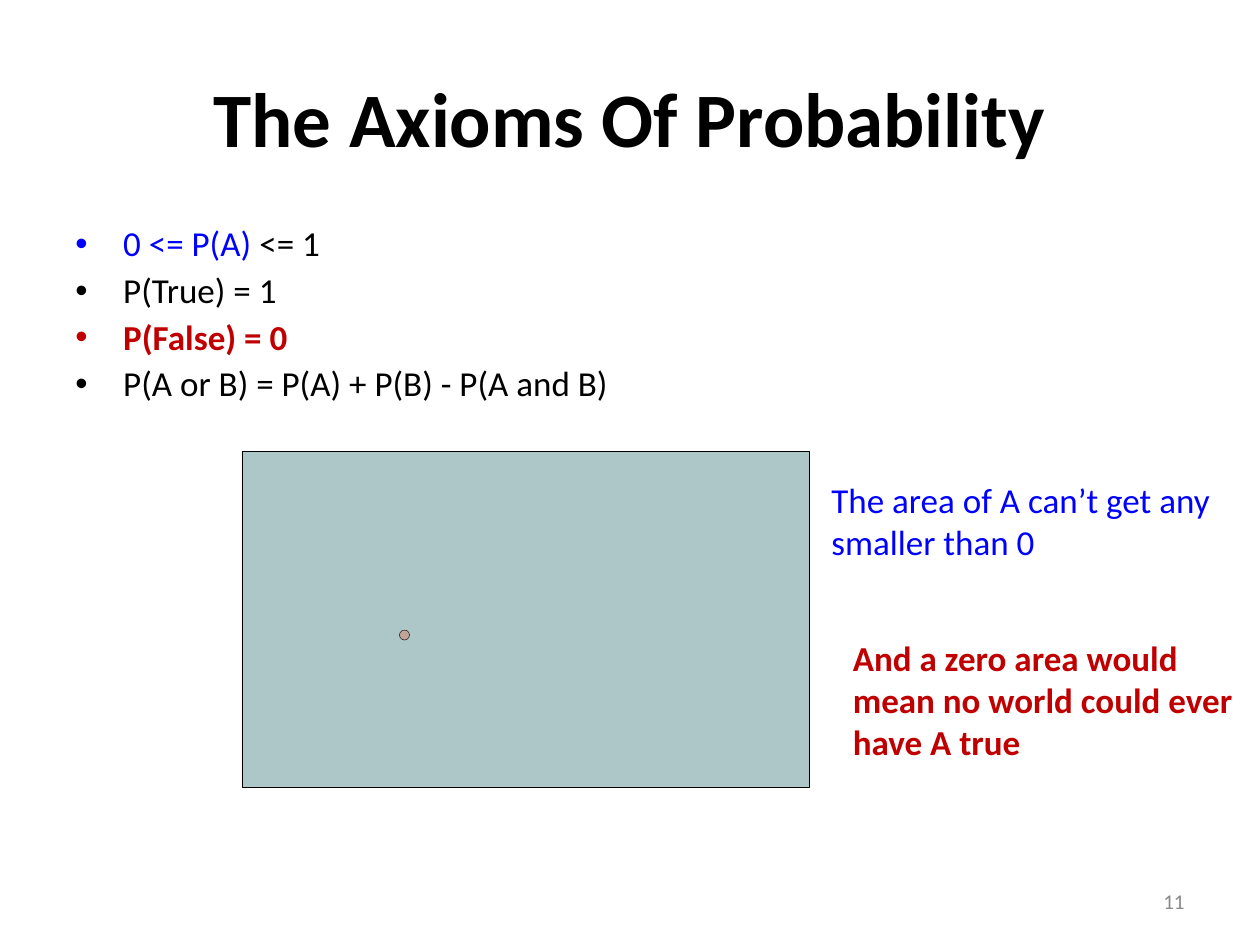
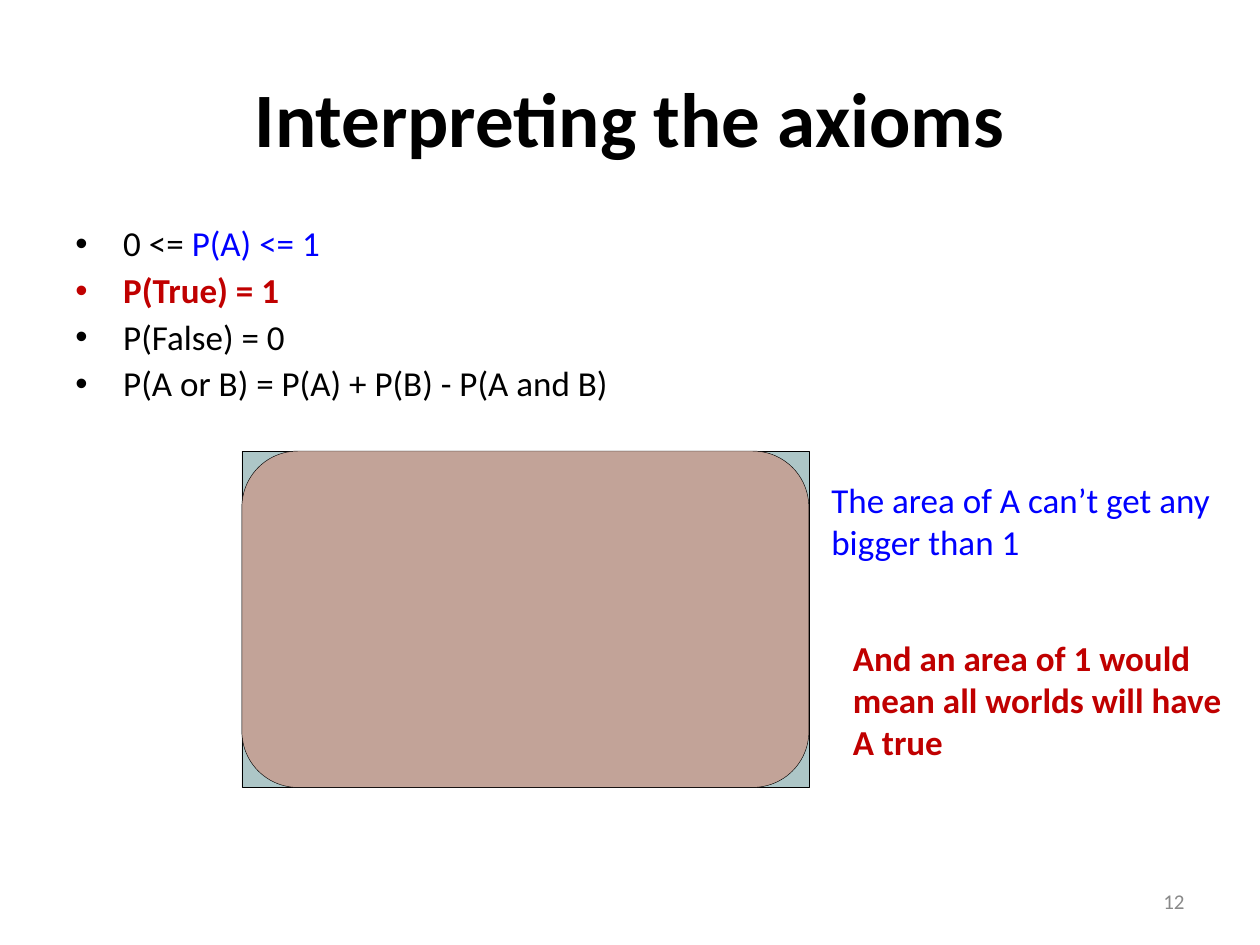
import pptx
import pptx.dml.color
import pptx.enum.shapes
import pptx.enum.text
import pptx.oxml.ns
import pptx.util
from lxml import etree

Inches = pptx.util.Inches
Pt = pptx.util.Pt
RGBColor = pptx.dml.color.RGBColor
SHAPE = pptx.enum.shapes.MSO_SHAPE
ALIGN = pptx.enum.text.PP_ALIGN
ANCHOR = pptx.enum.text.MSO_ANCHOR

BLACK = RGBColor(0x00, 0x00, 0x00)
BLUE = RGBColor(0x00, 0x00, 0xFF)
RED = RGBColor(0xC0, 0x00, 0x00)
GREY = RGBColor(0x89, 0x89, 0x89)
WORLD_FILL = RGBColor(0xAD, 0xC6, 0xC7)
EVENT_FILL = RGBColor(0xC2, 0xA3, 0x98)

PLAIN = {"size": Pt(20), "bold": False, "color": BLACK}
BOUND = {**PLAIN, "color": BLUE}
EXTREME = {**PLAIN, "bold": True, "color": RED}
TITLE = {"size": Pt(44), "bold": True, "color": BLACK}
PAGE_NUMBER = {"size": Pt(12), "bold": False, "color": GREY}

TITLE_BOX = (0.5, 0.3, 9, 1.25)
AXIOMS_BOX = (0.5, 1.75, 5.2, 1.55)
WORLD_BOX = (1.92, 3.58, 4.5, 2.67)
BOUND_BOX = (6.5, 3.75, 3.33, 0.77)
EXTREME_BOX = (6.67, 5, 3.33, 1.1)
PAGE_BOX = (7.17, 6.95, 2.33, 0.4)

UNION_AXIOM = [("P(A or B) = P(A) + P(B) - P(A and B)", PLAIN)]

SLIDES = [
    {
        "title": "The Axioms Of Probability",
        "axioms": [
            [("0 <= P(A) ", BOUND), ("<= 1", PLAIN)],
            [("P(True) = 1", PLAIN)],
            [("P(False) = 0", EXTREME)],
            UNION_AXIOM,
        ],
        "event": (SHAPE.OVAL, (3.17, 5, 0.08, 0.08)),
        "bound": "The area of A can’t get any smaller than 0",
        "extreme": "And a zero area would mean no world could ever have A true",
        "page": "11",
    },
    {
        "title": "Interpreting the axioms",
        "axioms": [
            [("0 <= ", PLAIN), ("P(A) <= 1", BOUND)],
            [("P(True) = 1", EXTREME)],
            [("P(False) = 0", PLAIN)],
            UNION_AXIOM,
        ],
        "event": (SHAPE.ROUNDED_RECTANGLE, WORLD_BOX),
        "bound": "The area of A can’t get any bigger than 1",
        "extreme": "And an area of 1 would mean all worlds will have A true",
        "page": "12",
    },
]


def add_runs(paragraph, runs):
    for words, style in runs:
        run = paragraph.add_run()
        run.text = words
        run.font.name = "Calibri"
        for attribute in ("size", "bold"):
            setattr(run.font, attribute, style[attribute])
        run.font.color.rgb = style["color"]


def add_frame(slide, box, anchor=ANCHOR.TOP):
    frame = slide.shapes.add_textbox(*map(Inches, box)).text_frame
    frame.word_wrap = True
    frame.vertical_anchor = anchor
    return frame


def add_line(slide, box, words, style, align=ALIGN.LEFT, anchor=ANCHOR.TOP):
    paragraph = add_frame(slide, box, anchor).paragraphs[0]
    paragraph.alignment = align
    add_runs(paragraph, [(words, style)])


def add_bullet(paragraph, color):
    properties = paragraph._p.get_or_add_pPr()
    properties.set("marL", str(Inches(0.38)))
    properties.set("indent", str(-Inches(0.38)))
    qn = pptx.oxml.ns.qn
    bullet_color = etree.SubElement(properties, qn("a:buClr"))
    etree.SubElement(bullet_color, qn("a:srgbClr"), val=str(color))
    etree.SubElement(properties, qn("a:buFont"), typeface="Arial")
    etree.SubElement(properties, qn("a:buChar"), char="•")


def add_axioms(slide, axioms):
    frame = add_frame(slide, AXIOMS_BOX)
    for index, runs in enumerate(axioms):
        paragraph = frame.add_paragraph() if index else frame.paragraphs[0]
        add_bullet(paragraph, runs[0][1]["color"])
        paragraph.line_spacing = 0.9
        paragraph.space_before = Pt(5 if index else 0)
        add_runs(paragraph, runs)


def add_region(slide, kind, box, fill):
    region = slide.shapes.add_shape(kind, *map(Inches, box))
    region.shadow.inherit = False
    region.fill.solid()
    region.fill.fore_color.rgb = fill
    region.line.color.rgb = BLACK
    region.line.width = Pt(0.25)


def build_slide(deck, content):
    slide = deck.slides.add_slide(deck.slide_layouts[6])
    add_line(slide, TITLE_BOX, content["title"], TITLE, ALIGN.CENTER, ANCHOR.MIDDLE)
    add_axioms(slide, content["axioms"])
    add_region(slide, SHAPE.RECTANGLE, WORLD_BOX, WORLD_FILL)
    add_region(slide, *content["event"], EVENT_FILL)
    add_line(slide, BOUND_BOX, content["bound"], BOUND)
    add_line(slide, EXTREME_BOX, content["extreme"], EXTREME)
    add_line(slide, PAGE_BOX, content["page"], PAGE_NUMBER, ALIGN.RIGHT, ANCHOR.MIDDLE)


def main():
    deck = pptx.Presentation()
    deck.slide_width = Inches(10)
    deck.slide_height = Inches(7.5)
    for content in SLIDES:
        build_slide(deck, content)
    deck.save("out.pptx")


if __name__ == "__main__":
    main()
